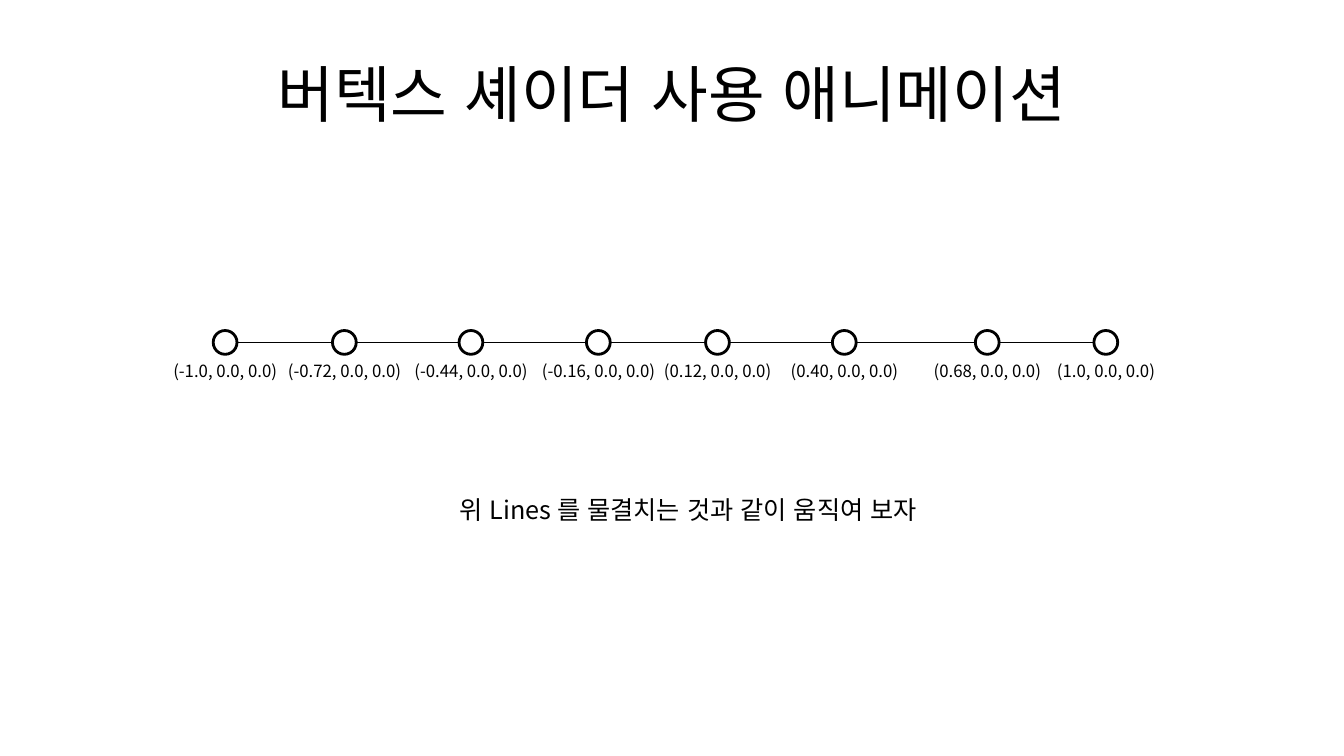
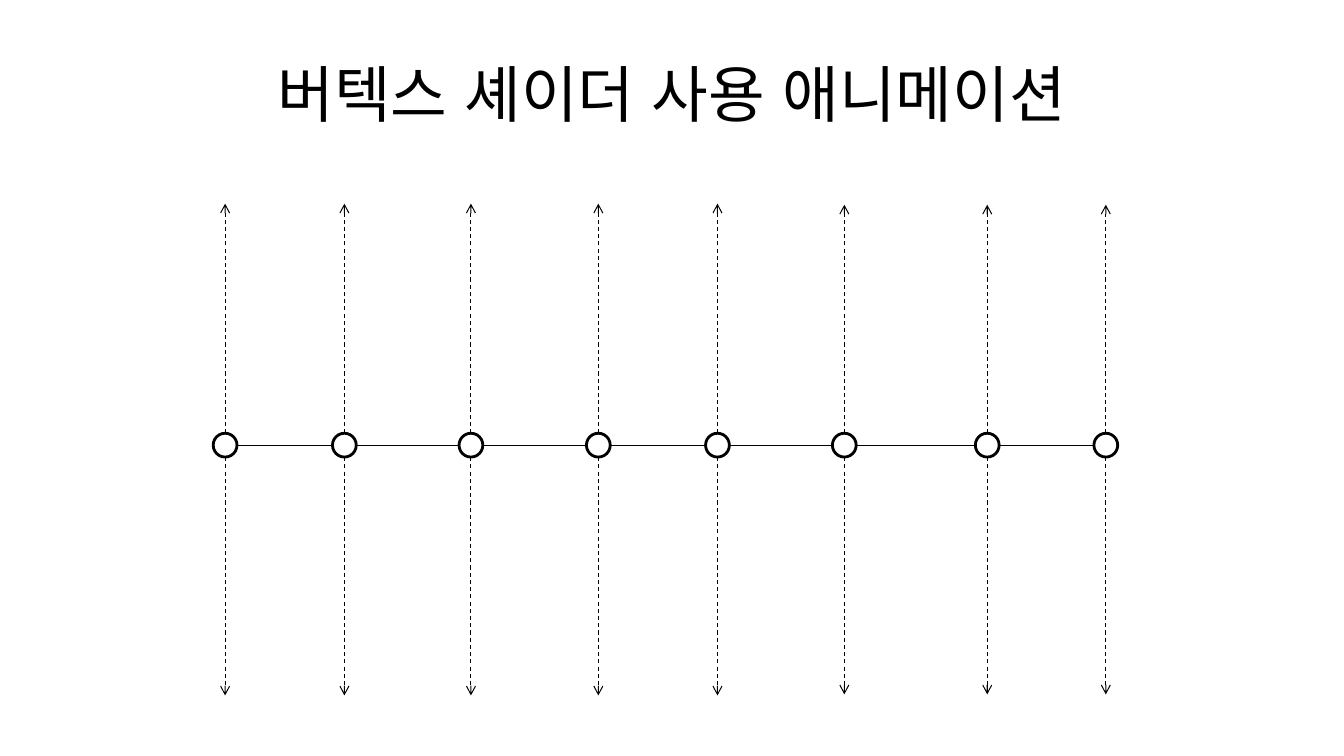
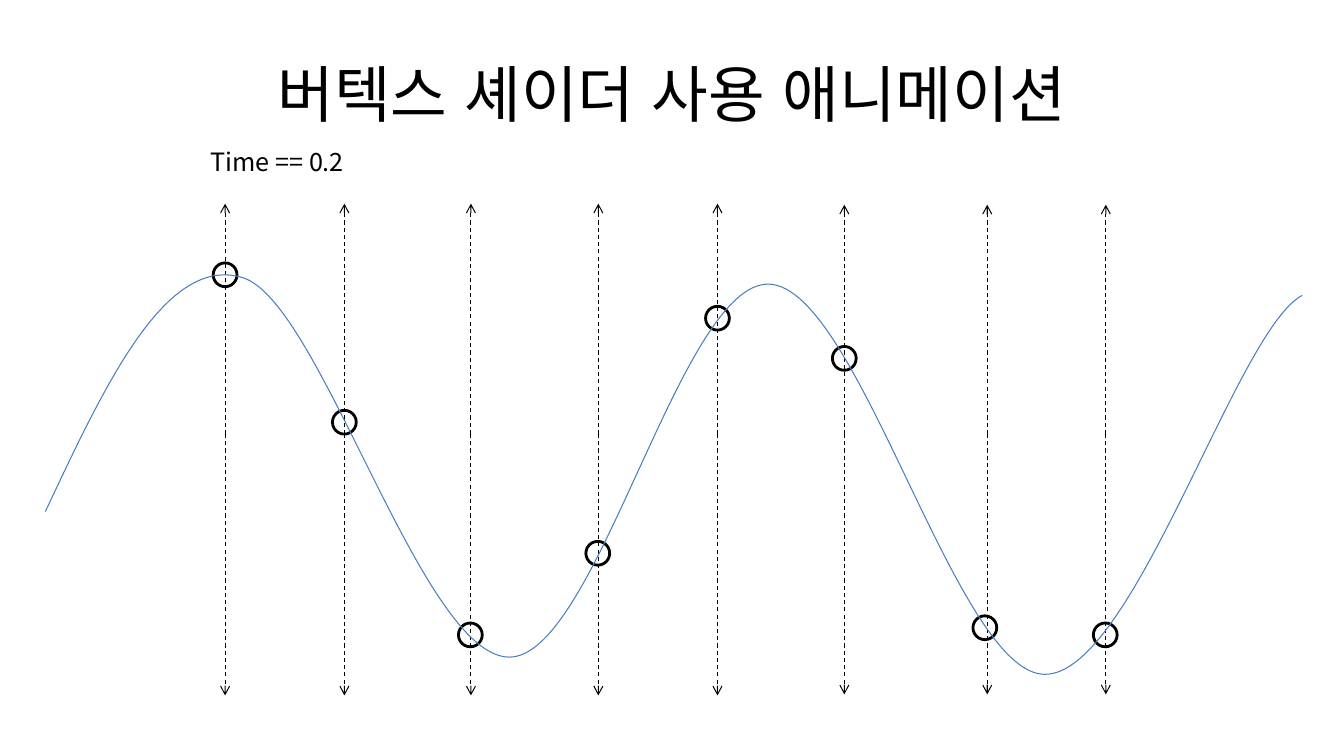
from dataclasses import dataclass

from lxml.etree import SubElement
from pptx import Presentation
from pptx.dml.color import RGBColor
from pptx.enum.dml import MSO_LINE
from pptx.enum.lang import MSO_LANGUAGE_ID
from pptx.enum.shapes import MSO_CONNECTOR, MSO_SHAPE
from pptx.enum.text import MSO_ANCHOR, MSO_AUTO_SIZE, PP_ALIGN
from pptx.oxml.ns import qn
from pptx.util import Pt


# Shared look
@dataclass(frozen=True)
class Theme:
    font: str = "Noto Sans CJK KR"
    ink: RGBColor = RGBColor(0, 0, 0)
    paper: RGBColor = RGBColor(255, 255, 255)
    wave: RGBColor = RGBColor(0x4B, 0x7E, 0xBC)
    title: int = 44
    body: int = 18
    label: int = 12
    thin: float = 0.75
    thick: float = 2


THEME = Theme()
TITLE = "버텍스 셰이더 사용 애니메이션"

# Vertex geometry, in points
SIZE = 17
RADIUS = SIZE / 2
COLS = [160.8, 246, 336.4, 427.4, 512.5, 603.1, 705.2, 789.9]
LABELS = ["-1.0", "-0.72", "-0.44", "-0.16", "0.12", "0.40", "0.68", "1.0"]
MOVED = [(160.8, 196.3), (246, 301.6), (336, 453.5), (427, 395.2),
         (512.5, 227.3), (603.1, 256), (703.5, 448.4), (789.5, 453.5)]

# Wave as a start point and cubic pieces, in points
START = (32.4, 365.5)
PIECES = [
    [(75.6, 273.6), (118.8, 181.4), (173.5, 198.4)],
    [(229, 215.3), (301, 468.7), (363.6, 469.4)],
    [(426.2, 470.2), (486, 200.9), (549.4, 203)],
    [(613.4, 205.2), (682.6, 480.2), (745.9, 481.7)],
    [(809.3, 483.1), (882.7, 236.2), (930.2, 211)],
]


# Element builders
def add_text(slide, text, box, size, align=PP_ALIGN.CENTER,
             anchor=MSO_ANCHOR.TOP, fit=MSO_AUTO_SIZE.SHAPE_TO_FIT_TEXT):
    shape = slide.shapes.add_textbox(*map(Pt, box))
    frame = shape.text_frame
    frame.word_wrap = True
    frame.auto_size = fit
    frame.vertical_anchor = anchor
    para = frame.paragraphs[0]
    para.text = text
    para.alignment = align
    font = para.font
    font.size = Pt(size)
    font.color.rgb = THEME.ink
    font.name = THEME.font
    font.language_id = MSO_LANGUAGE_ID.KOREAN


def add_node(slide, x, y):
    node = slide.shapes.add_shape(
        MSO_SHAPE.OVAL, Pt(x - RADIUS), Pt(y - RADIUS), Pt(SIZE), Pt(SIZE))
    node.shadow.inherit = False
    node.fill.solid()
    node.fill.fore_color.rgb = THEME.paper
    node.line.color.rgb = THEME.ink
    node.line.width = Pt(THEME.thick)


def add_line(slide, start, end, arrow=False):
    link = slide.shapes.add_connector(
        MSO_CONNECTOR.STRAIGHT, *map(Pt, (*start, *end)))
    link.line.color.rgb = THEME.ink
    link.line.width = Pt(THEME.thin)
    if arrow:
        link.line.dash_style = MSO_LINE.DASH
        SubElement(link.line._get_or_add_ln(), qn("a:tailEnd"), type="arrow")
    SubElement(link._element.spPr, qn("a:effectLst"))


def add_chain(slide, y):
    for x in COLS:
        add_node(slide, x, y)
    for left, right in zip(COLS, COLS[1:]):
        add_line(slide, (left + RADIUS, y), (right - RADIUS, y))


def add_arrows(slide, upper, lower):
    for i, x in enumerate(COLS):
        inset = 0.75 if i > 4 else 0  # last three are a little shorter
        add_line(slide, (x, upper), (x, 145.5 + inset), arrow=True)
        add_line(slide, (x, lower), (x, 496.75 - inset), arrow=True)


def add_wave(slide):
    pen = slide.shapes.build_freeform(*map(Pt, START))
    ends = [(Pt(x), Pt(y)) for *_, (x, y) in PIECES]
    pen.add_line_segments(ends, close=False)
    wave = pen.convert_to_shape()
    wave.shadow.inherit = False
    wave.fill.background()
    wave.line.color.rgb = THEME.wave
    wave.line.width = Pt(THEME.thin)
    # Bend each straight piece into a cubic one
    for part, piece in zip(list(wave._element.iter(qn("a:lnTo"))), PIECES):
        part.clear()
        bend = SubElement(part.getparent(), qn("a:cubicBezTo"))
        for x, y in piece:
            SubElement(bend, qn("a:pt"), x=str(Pt(x) - wave.left),
                       y=str(Pt(y) - wave.top))
        part.getparent().remove(part)


def add_slide(deck):
    slide = deck.slides.add_slide(deck.slide_layouts[6])
    add_text(slide, TITLE, (48, 21.6, 864, 90), THEME.title,
             anchor=MSO_ANCHOR.MIDDLE, fit=MSO_AUTO_SIZE.NONE)
    return slide


def main():
    deck = Presentation()
    deck.slide_width, deck.slide_height = Pt(960), Pt(540)

    # Line at rest, with coordinates
    slide = add_slide(deck)
    add_chain(slide, 244.6)
    add_text(slide, "위 Lines 를 물결치는 것과 같이 움직여 보자",
             (208, 349.2, 567, 29), THEME.body)
    for x, label in zip(COLS, LABELS):
        add_text(slide, f"({label}, 0.0, 0.0)", (x - 54.4, 254.2, 109, 22),
                 THEME.label)

    # Directions of motion
    slide = add_slide(deck)
    add_chain(slide, 318)
    add_arrows(slide, 318 - RADIUS, 318 + RADIUS)

    # Wave at one moment
    slide = add_slide(deck)
    for x, y in MOVED:
        add_node(slide, x, y)
    add_arrows(slide, 310, 310)
    add_text(slide, "Time == 0.2", (143.3, 100.6, 120, 29), THEME.body,
             align=PP_ALIGN.LEFT)
    add_wave(slide)

    deck.save("out.pptx")


main()
